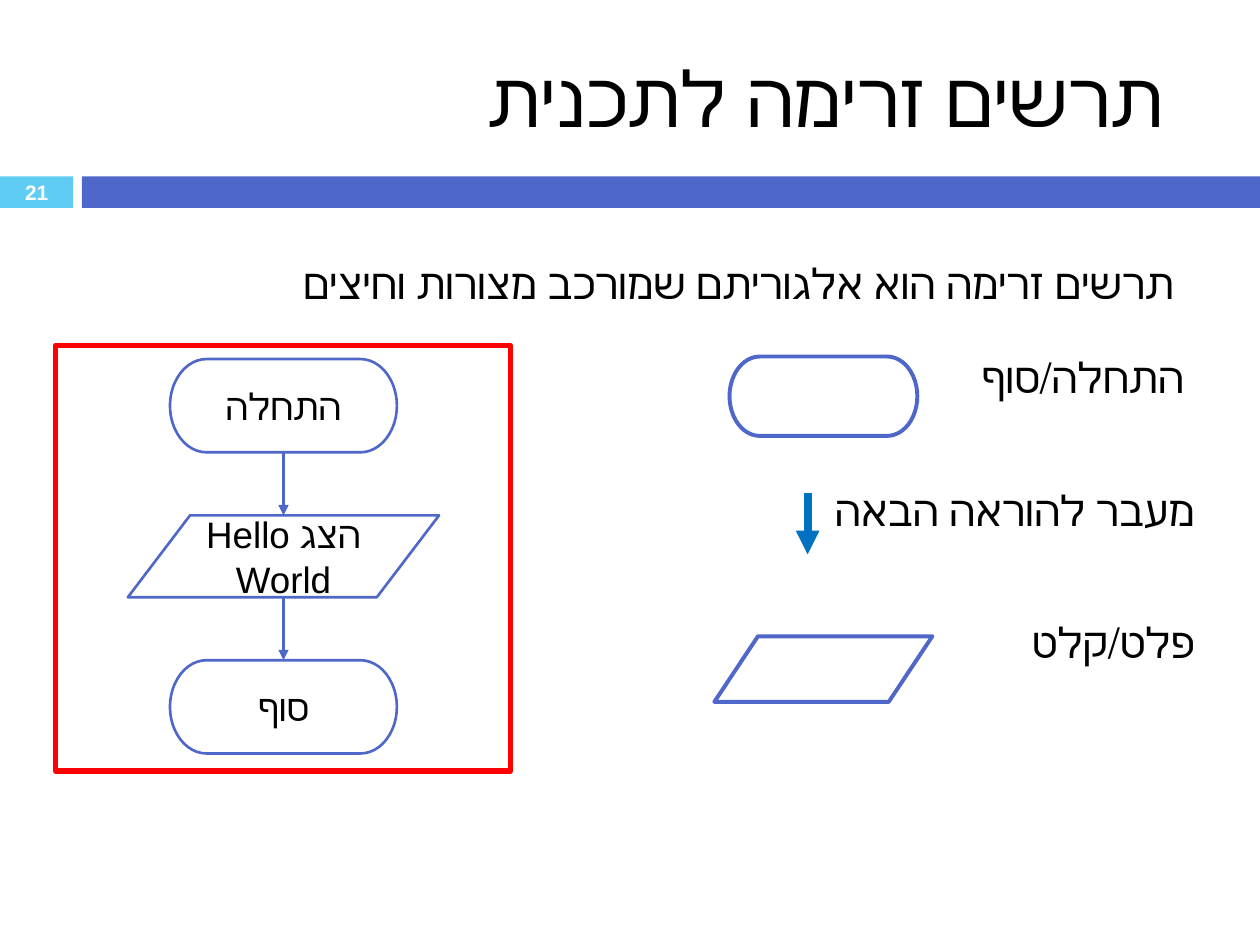
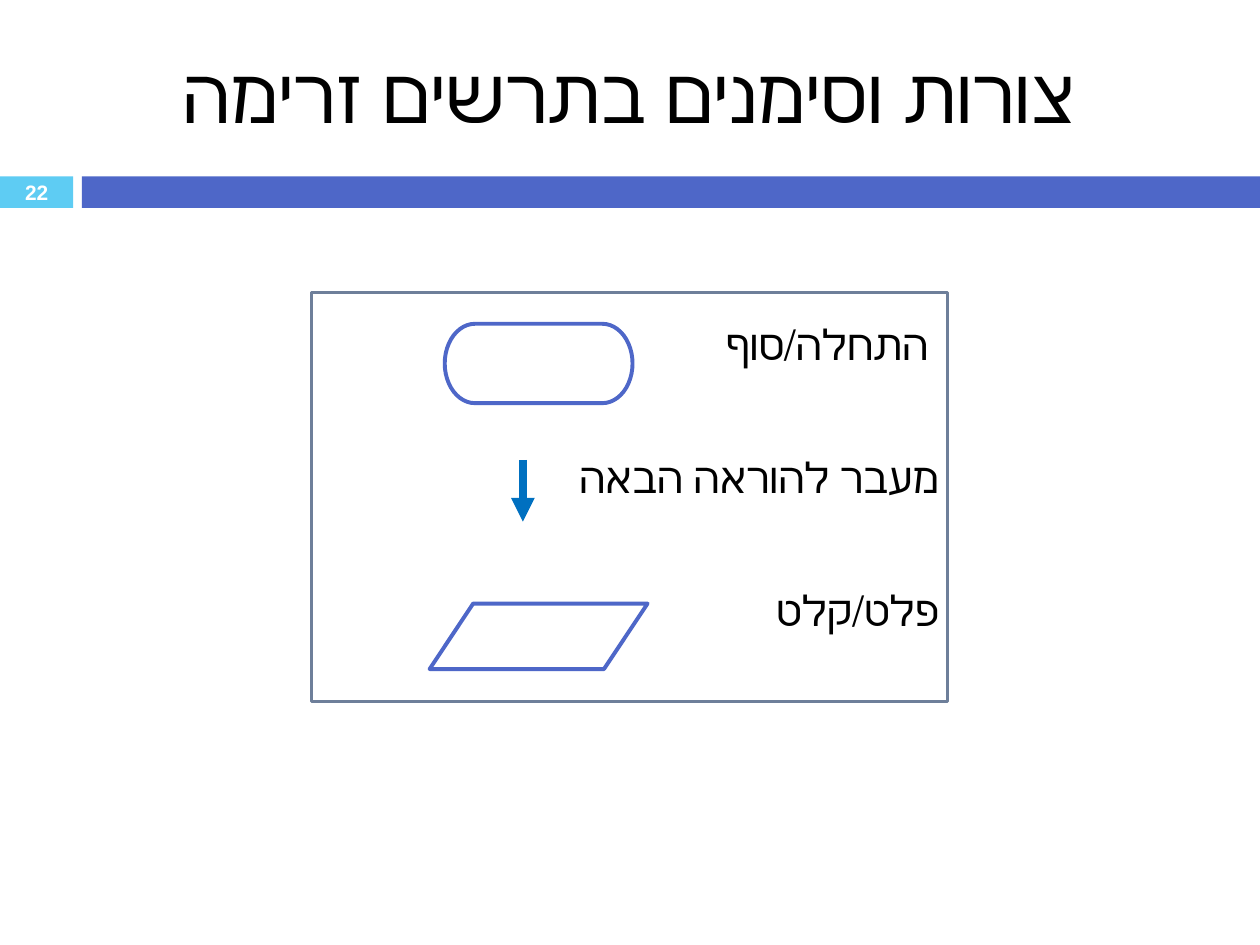
from dataclasses import dataclass

from lxml.etree import SubElement
from pptx import Presentation
from pptx.dml.color import RGBColor
from pptx.enum.shapes import MSO_CONNECTOR, MSO_SHAPE
from pptx.enum.text import MSO_ANCHOR, PP_ALIGN
from pptx.oxml.ns import qn
from pptx.util import Inches, Pt

SLIDE_WIDTH, SLIDE_HEIGHT = Inches(10), Inches(7.5)
COLUMNS, ROWS = 100, 75
FONT = "Arial"
COLORS = {
    "band": "4E67C8",
    "number": "5ECCF3",
    "ink": "000000",
    "paper": "FFFFFF",
    "arrow": "0070C0",
    "red": "FF0000",
    "slate": "6E7F9A",
}
LEGEND_LABELS = [" התחלה/סוף", "מעבר להוראה הבאה", "פלט/קלט"]


@dataclass
class Area:
    """A rectangle in grid columns and rows."""
    left: float
    top: float
    width: float
    height: float

    def lengths(self) -> tuple:
        return column(self.left), row(self.top), column(self.width), row(self.height)


@dataclass
class TextStyle:
    size: float
    align: PP_ALIGN = PP_ALIGN.CENTER
    color: str = "ink"
    bold: bool = False
    rtl: bool = False
    anchor: MSO_ANCHOR = MSO_ANCHOR.MIDDLE
    gap: float = 0
    line_spacing: float = 1


@dataclass
class Step:
    kind: MSO_SHAPE
    text: str
    top: float
    width: float
    height: float
    rtl: bool = False


@dataclass
class Legend:
    labels: Area
    symbol_center: float


TITLE_RIGHT = TextStyle(44, PP_ALIGN.RIGHT, rtl=True)
TITLE_CENTER = TextStyle(44, rtl=True)
PAGE_NUMBER = TextStyle(11.9, color="paper", bold=True)
INTRO = TextStyle(24, PP_ALIGN.RIGHT, anchor=MSO_ANCHOR.TOP, line_spacing=0.9)
LABELS = TextStyle(24, PP_ALIGN.JUSTIFY, rtl=True, anchor=MSO_ANCHOR.TOP, gap=47)

FLOW_CENTER = 22.5
FLOW_STEPS = [
    Step(MSO_SHAPE.FLOWCHART_TERMINATOR, "התחלה", 28.5, 18, 7.4),
    Step(MSO_SHAPE.FLOWCHART_DATA, "הצג Hello World", 40.9, 24.7, 6.5, rtl=True),
    Step(MSO_SHAPE.FLOWCHART_TERMINATOR, "סוף", 52.4, 18, 7.4),
]


def column(count: float) -> int:
    return round(SLIDE_WIDTH * count / COLUMNS)


def row(count: float) -> int:
    return round(SLIDE_HEIGHT * count / ROWS)


def color(name: str) -> RGBColor:
    return RGBColor.from_string(COLORS[name])


def write(frame, lines: list, style: TextStyle) -> None:
    frame.word_wrap = True
    frame.vertical_anchor = style.anchor
    for index, line in enumerate(lines):
        para = frame.add_paragraph() if index else frame.paragraphs[0]
        para.text = line
        para.alignment = style.align
        if style.rtl:
            para._p.get_or_add_pPr().set("rtl", "1")
        if style.line_spacing != 1:
            para.line_spacing = style.line_spacing
        if index and style.gap:
            para.space_before = Pt(style.gap)
        para.font.name = FONT
        para.font.size = Pt(style.size)
        para.font.bold = style.bold
        para.font.color.rgb = color(style.color)


def add_text(page, area: Area, lines: list, style: TextStyle, top_inset: float = 0.4):
    box = page.shapes.add_textbox(*area.lengths())
    frame = box.text_frame
    frame.margin_left = frame.margin_right = column(0.7)
    frame.margin_top, frame.margin_bottom = row(top_inset), row(0.4)
    write(frame, lines, style)
    return box


def add_figure(page, kind: MSO_SHAPE, area: Area, fill: str = "",
               line: str = "", weight: float = 0):
    figure = page.shapes.add_shape(kind, *area.lengths())
    figure.shadow.inherit = False
    if fill:
        figure.fill.solid()
        figure.fill.fore_color.rgb = color(fill)
    else:
        figure.fill.background()
    if line:
        figure.line.color.rgb = color(line)
        figure.line.width = Pt(weight)
    else:
        figure.line.fill.background()
    return figure


def add_arrow(page, center: float, top: float, bottom: float, line: str, weight: float):
    arrow = page.shapes.add_connector(
        MSO_CONNECTOR.STRAIGHT, column(center), row(top), column(center), row(bottom))
    arrow.line.color.rgb = color(line)
    arrow.line.width = Pt(weight)
    SubElement(arrow.line._get_or_add_ln(), qn("a:tailEnd"), type="triangle")
    SubElement(arrow._element.spPr, qn("a:effectLst"))
    return arrow


def add_page(deck, title: str, title_area: Area, title_style: TextStyle, number: int):
    page = deck.slides.add_slide(deck.slide_layouts[6])
    # Band with the page number at its left end
    add_figure(page, MSO_SHAPE.RECTANGLE, Area(0, 14, 5.8, 2.5), "number")
    add_figure(page, MSO_SHAPE.RECTANGLE, Area(6.5, 14, 93.5, 2.5), "band")
    add_text(page, Area(0, 13.9, 5.8, 2.7), [str(number)], PAGE_NUMBER)
    add_text(page, title_area, [title], title_style)
    return page


def add_legend(page, legend: Legend) -> None:
    center, top = legend.symbol_center, legend.labels.top
    add_text(page, legend.labels, LEGEND_LABELS, LABELS, top_inset=1)
    add_arrow(page, center - 1.25, top + 12.2, top + 17.1, "arrow", 4.5)
    symbols = [
        (MSO_SHAPE.FLOWCHART_DATA, 23.6, 17.3, 5.2),
        (MSO_SHAPE.FLOWCHART_TERMINATOR, 1.4, 14.9, 6.3),
    ]
    for kind, drop, width, height in symbols:
        area = Area(center - width / 2, top + drop, width, height)
        add_figure(page, kind, area, "paper", "band", 2.25)


def add_flow(page) -> None:
    figures = []
    for step in FLOW_STEPS:
        area = Area(FLOW_CENTER - step.width / 2, step.top, step.width, step.height)
        figure = add_figure(page, step.kind, area, "paper", "band", 1.5)
        write(figure.text_frame, [step.text], TextStyle(21, rtl=step.rtl))
        figures.append(figure)
    arrows = [
        add_arrow(page, FLOW_CENTER, upper.top + upper.height, lower.top, "band", 1.5)
        for upper, lower in zip(FLOW_STEPS, FLOW_STEPS[1:])
    ]
    arrows[0].begin_connect(figures[0], 2)
    arrows[-1].end_connect(figures[-1], 0)


def build_program_page(deck) -> None:
    page = add_page(deck, "תרשים זרימה לתכנית", Area(6.9, 2.2, 86.2, 10.9), TITLE_RIGHT, 21)
    add_text(page, Area(2.8, 20.5, 91.9, 4.4),
             ["תרשים זרימה הוא אלגוריתם שמורכב מצורות וחיצים "], INTRO)
    add_flow(page)
    add_legend(page, Legend(Area(59.5, 26.9, 36, 33.2), 65.35))
    add_figure(page, MSO_SHAPE.RECTANGLE, Area(4.4, 27.4, 36.1, 33.8), line="red", weight=3)


def build_symbols_page(deck) -> None:
    page = add_page(deck, "צורות וסימנים בתרשים זרימה", Area(9.6, 1.9, 80.8, 10.9),
                    TITLE_CENTER, 22)
    add_legend(page, Legend(Area(24.7, 24.3, 50.5, 33.2), 42.75))
    add_figure(page, MSO_SHAPE.RECTANGLE, Area(24.7, 23.2, 50.5, 32.5), line="slate", weight=1.5)


def main() -> None:
    deck = Presentation()
    deck.slide_width, deck.slide_height = SLIDE_WIDTH, SLIDE_HEIGHT
    build_program_page(deck)
    build_symbols_page(deck)
    deck.save("out.pptx")


if __name__ == "__main__":
    main()
